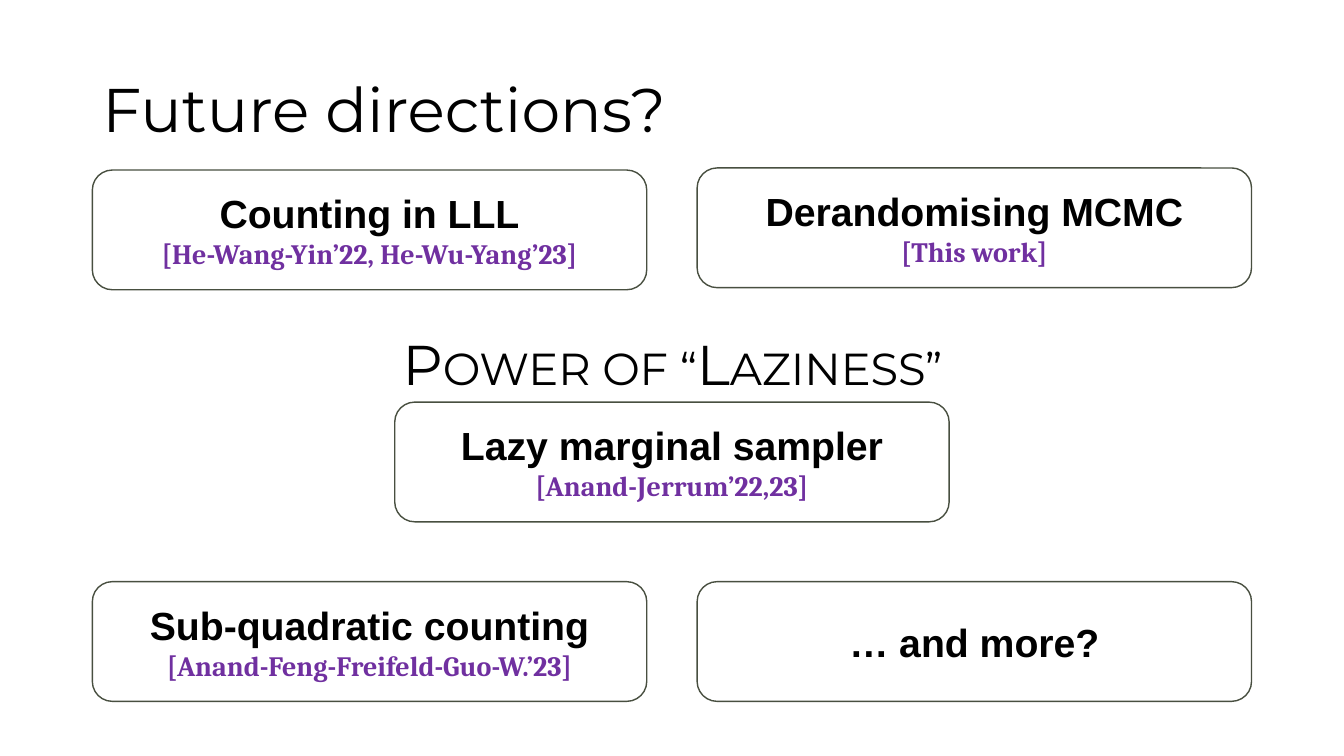
from dataclasses import dataclass

import pptx
import pptx.dml.color
import pptx.enum.shapes
import pptx.enum.text
import pptx.util

EMU_PER_PX = 9525
BLACK, WHITE, OUTLINE, PURPLE = "000000", "FFFFFF", "484F40", "7030A0"
CARD_WIDTH, CARD_HEIGHT = 528, 114
LEFT_COLUMN, CENTRE_COLUMN, RIGHT_COLUMN = 88, 376, 664
ALIGN = pptx.enum.text.PP_ALIGN
ANCHOR = pptx.enum.text.MSO_ANCHOR


@dataclass(frozen=True)
class TextStyle:
    font: str
    size: int
    color: str
    bold: bool = False


@dataclass(frozen=True)
class Card:
    left: int
    top: int
    heading: str
    citation: str = ""


TITLE_STYLE = TextStyle("Montserrat", 44, BLACK)
BANNER_STYLE = TextStyle("Montserrat", 40, BLACK)
HEADING_STYLE = TextStyle("Arial", 28, BLACK, bold=True)
CITATION_STYLE = TextStyle("Cambria", 20, PURPLE, bold=True)

CARDS = [
    Card(CENTRE_COLUMN, 383, "Lazy marginal sampler", "[Anand-Jerrum’22,23]"),
    Card(LEFT_COLUMN, 162, "Counting in LLL", "[He-Wang-Yin’22, He-Wu-Yang’23]"),
    Card(RIGHT_COLUMN, 160, "Derandomising MCMC", "[This work]"),
    Card(LEFT_COLUMN, 554, "Sub-quadratic counting", "[Anand-Feng-Freifeld-Guo-W.’23]"),
    Card(RIGHT_COLUMN, 554, "… and more?"),
]


def px(length: int) -> pptx.util.Emu:
    return pptx.util.Emu(length * EMU_PER_PX)


def rgb(color: str) -> pptx.dml.color.RGBColor:
    return pptx.dml.color.RGBColor.from_string(color)


def format_paragraph(para, style: TextStyle, alignment) -> None:
    para.alignment = alignment
    for span in para.runs:
        span.font.name = style.font
        span.font.size = pptx.util.Pt(style.size)
        span.font.bold = style.bold
        span.font.color.rgb = rgb(style.color)


def add_title(page) -> None:
    title = page.shapes.title
    title.left, title.top, title.width, title.height = map(px, (88, 38, 1104, 139))
    title.text_frame.text = "Future directions?"
    title.text_frame.vertical_anchor = ANCHOR.MIDDLE
    para = title.text_frame.paragraphs[0]
    para.line_spacing = 0.9
    format_paragraph(para, TITLE_STYLE, ALIGN.LEFT)


def add_banner(page) -> None:
    """Add the central slogan in small capitals."""
    box = page.shapes.add_textbox(*map(px, (335, 309, 611, 74)))
    frame = box.text_frame
    frame.word_wrap = True
    frame.auto_size = pptx.enum.text.MSO_AUTO_SIZE.SHAPE_TO_FIT_TEXT
    frame.text = "Power of “Laziness”"
    para = frame.paragraphs[0]
    format_paragraph(para, BANNER_STYLE, ALIGN.CENTER)
    para.runs[0]._r.get_or_add_rPr().set("cap", "small")


def add_card(page, card: Card) -> None:
    box = page.shapes.add_shape(
        pptx.enum.shapes.MSO_SHAPE.ROUNDED_RECTANGLE,
        *map(px, (card.left, card.top, CARD_WIDTH, CARD_HEIGHT)),
    )
    box.shadow.inherit = False
    box.fill.solid()
    box.fill.fore_color.rgb = rgb(WHITE)
    box.line.color.rgb = rgb(OUTLINE)
    box.line.width = pptx.util.Pt(1)
    frame = box.text_frame
    frame.word_wrap = True
    frame.vertical_anchor = ANCHOR.MIDDLE
    frame.text = "\n".join(filter(None, (card.heading, card.citation)))
    for para, style in zip(frame.paragraphs, (HEADING_STYLE, CITATION_STYLE)):
        format_paragraph(para, style, ALIGN.CENTER)


def main() -> None:
    deck = pptx.Presentation()
    deck.slide_width, deck.slide_height = px(1280), px(720)
    title_only = deck.slide_layouts.get_by_name("Title Only")
    page = deck.slides.add_slide(title_only)
    add_title(page)
    add_banner(page)
    for card in CARDS:
        add_card(page, card)
    deck.save("out.pptx")


if __name__ == "__main__":
    main()
